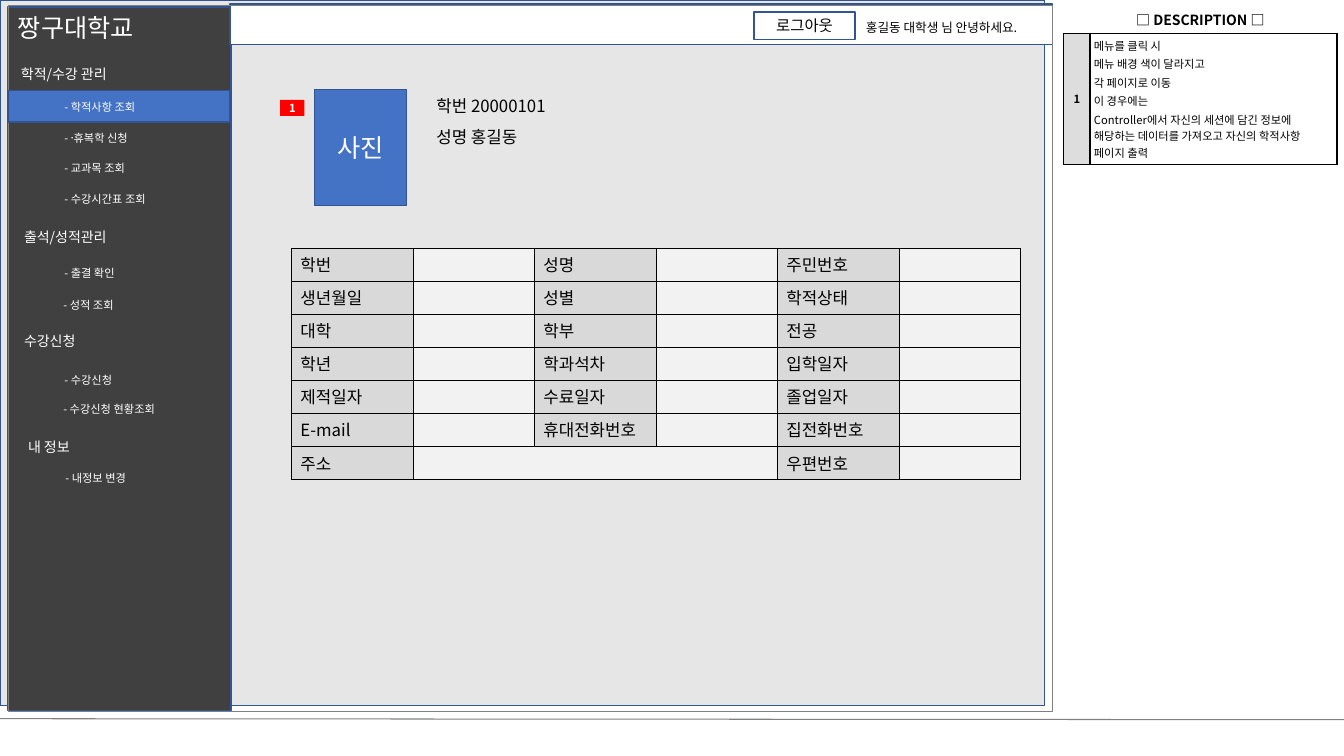
import pptx
import pptx.chart.data
import pptx.dml.color
import pptx.enum.shapes
import pptx.enum.text
import pptx.oxml.ns
import pptx.util
import lxml.etree

FONT = "Noto Sans CJK KR"
COLORS = {
    "page": "E7E6E6", "sidebar": "404040", "white": "FFFFFF", "black": "000000",
    "edge": "325491", "blue": "4472C4", "gray": "808080", "marker": "FF0000",
    "number": "DDDDDD", "label": "D9D9D9", "value": "F2F2F2",
}
PANELS = [
    ((0, 0, 10.36, 7), "page", "edge", 1),
    ((0.08, 0.07, 2.21, 6.98), "sidebar", "edge", 1),
    ((2.28, 0.04, 8.16, 0.4), "white", "edge", 1),
    ((0.08, 0.05, 10.36, 7.01), None, "gray", 0.75),
    ((0.08, 0.9, 2.2, 0.31), "blue", "edge", 1),
]
LABELLED_BOXES = [
    ("로그아웃", (7.48, 0.12, 1, 0.27), "white", "edge", {"size": 11, "color": "black"}),
    ("사진", (3.12, 0.89, 0.91, 1.15), "blue", "edge", {"size": 18, "color": "white"}),
    ("1", (2.78, 0.99, 0.24, 0.16), "marker", None, {"size": 8, "color": "white", "bold": True}),
]
MENU_HEADINGS = [
    ("학적/수강 관리", 0.11, 0.6), ("출석/성적관리", 0.14, 2.22),
    ("수강신청", 0.14, 3.25), ("내 정보", 0.18, 4.3),
]
MENU_ITEMS = [
    ("- 학적사항 조회", 0.54, 0.95, 1), ("- 휴〮복학 신청", 0.54, 1.25, 0.96),
    ("- 교과목 조회", 0.54, 1.55, 0.89), ("- 수강시간표 조회", 0.54, 1.86, 1.11),
    ("- 출결 확인", 0.54, 2.59, 0.78), ("- 성적 조회", 0.53, 2.91, 0.78),
    ("- 수강신청", 0.54, 3.65, 0.78), ("- 수강신청 현황조회", 0.53, 3.94, 1.23),
    ("- 내정보 변경", 0.55, 4.63, 0.89),
]
CAPTIONS = [
    ("짱구대학교", (0.08, 0.07, 1.46, 0.4), 18, "white"),
    ("홍길동 대학생 님 안녕하세요.", (8.49, 0.15, 1.88, 0.25), 9, "black"),
    ("학번 20000101", (4.23, 0.9, 1.34, 0.3), 12, "black"),
    ("성명 홍길동", (4.23, 1.21, 1.1, 0.3), 12, "black"),
]
DESCRIPTION_TITLE = "□ DESCRIPTION □"
DESCRIPTION_NUMBER = "1"
DESCRIPTION_LINES = [
    "메뉴를 클릭 시", "메뉴 배경 색이 달라지고", "각 페이지로 이동", "이 경우에는",
    "Controller에서 자신의 세션에 담긴 정보에 해당하는 데이터를 가져오고 자신의 학적사항 페이지 출력",
]
RECORD_LABELS = [
    ("학번", "성명", "주민번호"), ("생년월일", "성별", "학적상태"),
    ("대학", "학부", "전공"), ("학년", "학과석차", "입학일자"),
    ("제적일자", "수료일자", "졸업일자"), ("E-mail", "휴대전화번호", "집전화번호"),
    ("주소", "", "우편번호"),
]
Inches = pptx.util.Inches
ALIGN = pptx.enum.text.PP_ALIGN
MIDDLE = pptx.enum.text.MSO_ANCHOR.MIDDLE
TOP = pptx.enum.text.MSO_ANCHOR.TOP


def rgb(name):
    return pptx.dml.color.RGBColor.from_string(COLORS[name])


def inches(values):
    return [Inches(value) for value in values]


def add_xml(parent, tag, **attributes):
    return lxml.etree.SubElement(parent, pptx.oxml.ns.qn(tag), **attributes)


def write(frame, lines, size, color, bold=False, align=ALIGN.LEFT, before=0):
    for index, line in enumerate(lines):
        para = frame.add_paragraph() if index else frame.paragraphs[0]
        para.alignment = align
        if before:
            para.space_before = pptx.util.Pt(before)
        if not line:
            add_xml(para._p, "a:endParaRPr", sz=str(size * 100))
            continue
        span = para.add_run()
        span.text = line
        formats = {"size": pptx.util.Pt(size), "bold": bold, "name": FONT}
        for key, value in formats.items():
            setattr(span.font, key, value)
        span.font.color.rgb = rgb(color)
        add_xml(span._r.get_or_add_rPr(), "a:ea", typeface=FONT)


def add_box(page, place, fill, edge, width=1):
    box = page.shapes.add_shape(pptx.enum.shapes.MSO_SHAPE.RECTANGLE, *inches(place))
    box.shadow.inherit = False
    if fill:
        box.fill.solid()
        box.fill.fore_color.rgb = rgb(fill)
    else:
        box.fill.background()
    if edge:
        box.line.color.rgb = rgb(edge)
        box.line.width = pptx.util.Pt(width)
    else:
        box.line.fill.background()
    return box


def add_caption(page, text, place, size, color, wrap=False):
    box = page.shapes.add_textbox(*inches(place))
    box.text_frame.word_wrap = wrap
    box.text_frame.auto_size = pptx.enum.text.MSO_AUTO_SIZE.SHAPE_TO_FIT_TEXT
    write(box.text_frame, [text], size, color)


def add_grid(page, place, widths, heights):
    grid = page.shapes.add_table(len(heights), len(widths), *inches(place)).table
    for column, width in zip(grid.columns, widths):
        column.width = Inches(width)
    for row, height in zip(grid.rows, heights):
        row.height = Inches(height)
    grid.first_row = grid.horz_banding = False
    return grid


def format_cell(cell, fill, border, side_margin, anchor=TOP, sides="LRTB"):
    margins = {"margin_left": side_margin, "margin_right": side_margin,
               "margin_top": 0.04, "margin_bottom": 0.04}
    for key, value in margins.items():
        setattr(cell, key, Inches(value))
    cell.vertical_anchor = anchor
    properties = cell._tc.get_or_add_tcPr()
    for side in "LRTB":
        line = add_xml(properties, "a:ln" + side, w=str(pptx.util.Pt(border)))
        if side in sides:
            paint = add_xml(line, "a:solidFill")
            add_xml(paint, "a:srgbClr", val=COLORS["black"])
        else:
            add_xml(line, "a:noFill")
    cell.fill.solid()
    cell.fill.fore_color.rgb = rgb(fill)


def add_description(page):
    grid = add_grid(page, (10.55, 0.05, 2.71, 1.39), (0.26, 2.45), (0.27, 1.12))
    grid.cell(0, 0).merge(grid.cell(0, 1))
    cells = [
        (0, 0, [DESCRIPTION_TITLE], 10, True, ALIGN.CENTER, "white", "B"),
        (0, 1, [""], 10, True, ALIGN.CENTER, "white", "B"),
        (1, 0, [DESCRIPTION_NUMBER], 8, True, ALIGN.CENTER, "number", "LRTB"),
        (1, 1, DESCRIPTION_LINES, 8, False, ALIGN.LEFT, "white", "LRTB"),
    ]
    for row, column, lines, size, bold, align, fill, sides in cells:
        cell = grid.cell(row, column)
        format_cell(cell, fill, 1, 0.04, MIDDLE, sides)
        write(cell.text_frame, lines, size, "black", bold, align, size * 0.2)


def add_record(page):
    rows = len(RECORD_LABELS)
    grid = add_grid(page, (2.89, 2.46, 7.23, 2.3), [7.23 / 6] * 6, [2.3 / rows] * rows)
    grid.cell(rows - 1, 1).merge(grid.cell(rows - 1, 3))
    for row, labels in enumerate(RECORD_LABELS):
        for column in range(6):
            text = "" if column % 2 else labels[column // 2]
            cell = grid.cell(row, column)
            format_cell(cell, "label" if text else "value", 0.25, 0.09)
            write(cell.text_frame, [text], 12, "black")


def main():
    deck = pptx.Presentation()
    deck.slide_width, deck.slide_height = inches((13.33, 7.5))
    page = deck.slides.add_slide(deck.slide_layouts[6])
    for panel in PANELS:
        add_box(page, *panel)
    add_description(page)
    footer = page.shapes.add_connector(
        pptx.enum.shapes.MSO_CONNECTOR.STRAIGHT, *inches((0, 7.13, 13.33, 7.14)))
    footer.line.color.rgb = rgb("gray")
    footer.line.width = pptx.util.Pt(0.75)
    add_xml(footer._element.spPr, "a:effectLst")
    for text, left, top in MENU_HEADINGS:
        add_caption(page, text, (left, top, 3.02, 0.27), 10, "white", True)
    for text, left, top, width in MENU_ITEMS:
        add_caption(page, text, (left, top, width, 0.24), 8, "white")
    for caption in CAPTIONS:
        add_caption(page, *caption)
    add_record(page)
    for text, place, fill, edge, style in LABELLED_BOXES:
        box = add_box(page, place, fill, edge)
        box.text_frame.word_wrap = len(text) > 1
        box.text_frame.vertical_anchor = MIDDLE
        write(box.text_frame, [text], align=ALIGN.CENTER, **style)
    deck.save("out.pptx")


if __name__ == "__main__":
    main()
